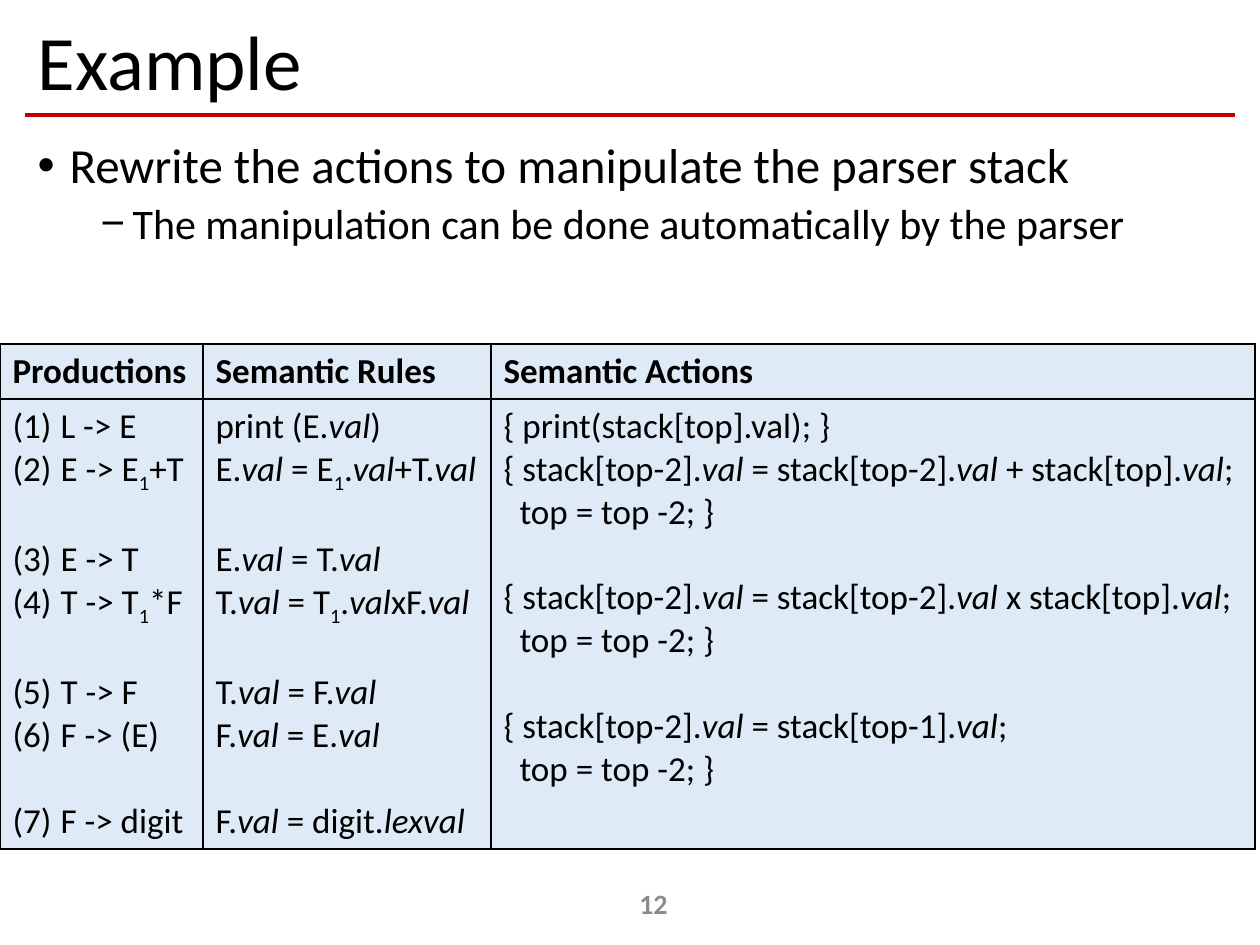
from dataclasses import dataclass

from pptx import Presentation
from pptx.dml.color import RGBColor as Rgb
from pptx.enum.shapes import MSO_CONNECTOR as Conn
from pptx.enum.text import MSO_ANCHOR as Anchor, MSO_AUTO_SIZE as Fit, PP_ALIGN as Align
from pptx.oxml.ns import qn
from pptx.util import Pt
from lxml.etree import SubElement as Sub


@dataclass(frozen=True)
class Theme:
    """Colours, font and type sizes of the slide."""
    font: str = "Calibri"
    ink: str = "000000"
    rule: str = "C00000"
    cell: str = "DEEBF7"
    mute: str = "8C8C8C"
    title: int = 44
    list: tuple = (28, 24)
    table: int = 20
    page: int = 16
    gap: float = 24.4


T = Theme()
SCALE = 914400 / 126

POINTS = [
    ("Rewrite the actions to manipulate the parser stack", "•", 32, 10),
    ("The manipulation can be done automatically by the parser", "−", 95, 5),
]
PRODS = ["L -> E", "E -> E|_1|+T", "E -> T", "T -> T|_1|*F", "T -> F", "F -> (E)", "F -> digit"]
RULES = [
    "print (E.|/val|)",
    "E.|/val| = E|_1|.|/val|+T.|/val",
    "E.|/val| = T.|/val",
    "T.|/val| = T|_1|.|/val|xF.|/val",
    "T.|/val| = F.|/val",
    "F.|/val| = E.|/val",
    "F.|/val| = digit.|/lexval",
]
POP = "top = top -2; }"
ACTS = [
    "{ print(stack[top].val); }",
    "{ stack[top-2].|/val |= stack[top-2].|/val |+ stack[top].|/val|;",
    POP,
    "{ stack[top-2].|/val |= stack[top-2].|/val| x stack[top].|/val|;",
    POP,
    "{ stack[top-2].|/val |= stack[top-1].|/val|;",
    POP,
]
COLS = [
    (203, "Productions", PRODS, (2, 4, 6)),
    (288, "Semantic Rules", RULES, (2, 4, 6)),
    (764, "Semantic Actions", ACTS, (3, 5)),
]


def px(n):
    """Turn pixels into EMU."""
    return round(n * SCALE)


def place(shape, *box):
    """Move a shape to left, top, width, height."""
    shape.left, shape.top, shape.width, shape.height = map(px, box)


def add_run(para, text, size, color=T.ink, bold=False):
    """Add one run in the theme font."""
    run = para.add_run()
    run.text = text
    font = run.font
    font.name, font.size, font.bold = T.font, Pt(size), bold
    font.color.rgb = Rgb.from_string(color)
    return run


def add_rich(para, text):
    """Add runs split at |, where / leads italics and _ leads a subscript."""
    for part in text.split("|"):
        run = add_run(para, part.lstrip("/_"), T.table)
        if part.startswith("/"):
            run.font.italic = True
        if part.startswith("_"):
            run.font._element.set("baseline", "-25000")


def indent(para, left, hang=0):
    """Set the left margin and hanging indent and return the properties."""
    props = para._p.get_or_add_pPr()
    props.set("marL", str(px(left)))
    props.set("indent", str(-px(hang)))
    return props


def next_para(frame, first):
    """Return the opening paragraph or a new one."""
    return frame.paragraphs[0] if first else frame.add_paragraph()


def add_title(slide):
    """Fill the title and draw the rule below it."""
    title = slide.shapes.title
    place(title, 25, 16, 1211, 100)
    frame = title.text_frame
    frame.auto_size, frame.vertical_anchor = Fit.NONE, Anchor.MIDDLE
    para = frame.paragraphs[0]
    para.alignment, para.line_spacing = Align.LEFT, 0.9
    add_run(para, "Example", T.title)
    line = slide.shapes.add_connector(Conn.STRAIGHT, px(25), px(115), px(1235), px(115))
    line.line.color.rgb = Rgb.from_string(T.rule)
    line.line.width = Pt(2.5)
    Sub(line._element.spPr, qn("a:effectLst"))


def add_list(slide):
    """Fill the body with the bulleted points."""
    body = slide.placeholders[1]
    place(body, 25, 135, 1211, 189)
    frame = body.text_frame
    frame.auto_size = Fit.NONE
    for level, (text, mark, left, space) in enumerate(POINTS):
        para = next_para(frame, level == 0)
        para.level, para.line_spacing, para.space_before = level, 0.9, Pt(space)
        Sub(indent(para, left, 32), qn("a:buChar"), char=mark)
        add_run(para, text, T.list[level])


def style_cell(cell):
    """Give a cell thin black borders and the table fill."""
    props = cell._tc.get_or_add_tcPr()
    for side in ("lnL", "lnR", "lnT", "lnB"):
        line = Sub(props, qn(f"a:{side}"), w=str(Pt(1)))
        Sub(Sub(line, qn("a:solidFill")), qn("a:srgbClr"), val=T.ink)
    cell.fill.solid()
    cell.fill.fore_color.rgb = Rgb.from_string(T.cell)


def fill_cell(cell, lines, gaps):
    """Write the lines of one column, numbering the productions."""
    for i, text in enumerate(lines):
        para = next_para(cell.text_frame, i == 0)
        if i in gaps:
            para.space_before = Pt(T.gap)
        if lines is PRODS:
            Sub(indent(para, 48, 48), qn("a:buAutoNum"), type="arabicParenBoth")
        elif text == POP:
            indent(para, 16)
        add_rich(para, text)


def add_grid(slide):
    """Add the table of productions, rules and actions."""
    width = sum(col[0] for col in COLS)
    table = slide.shapes.add_table(2, len(COLS), 0, px(344), px(width), px(505)).table
    table.first_row = table.horz_banding = False
    table.rows[0].height, table.rows[1].height = px(55), px(450)
    for i, (wide, head, lines, gaps) in enumerate(COLS):
        table.columns[i].width = px(wide)
        top, main_cell = table.cell(0, i), table.cell(1, i)
        style_cell(top)
        style_cell(main_cell)
        add_run(top.text_frame.paragraphs[0], head, T.table, bold=True)
        fill_cell(main_cell, lines, gaps)


def add_page(slide):
    """Add the page number."""
    frame = slide.shapes.add_textbox(px(512), px(878), px(283), px(50)).text_frame
    frame.word_wrap, frame.vertical_anchor = True, Anchor.MIDDLE
    para = frame.paragraphs[0]
    para.alignment = Align.CENTER
    add_run(para, "12", T.page, T.mute, True)


def main():
    """Build and save the slide."""
    deck = Presentation()
    deck.slide_width, deck.slide_height = px(1260), px(945)
    slide = deck.slides.add_slide(deck.slide_layouts[1])
    for add in (add_title, add_page, add_grid, add_list):
        add(slide)
    deck.save("out.pptx")


if __name__ == "__main__":
    main()
